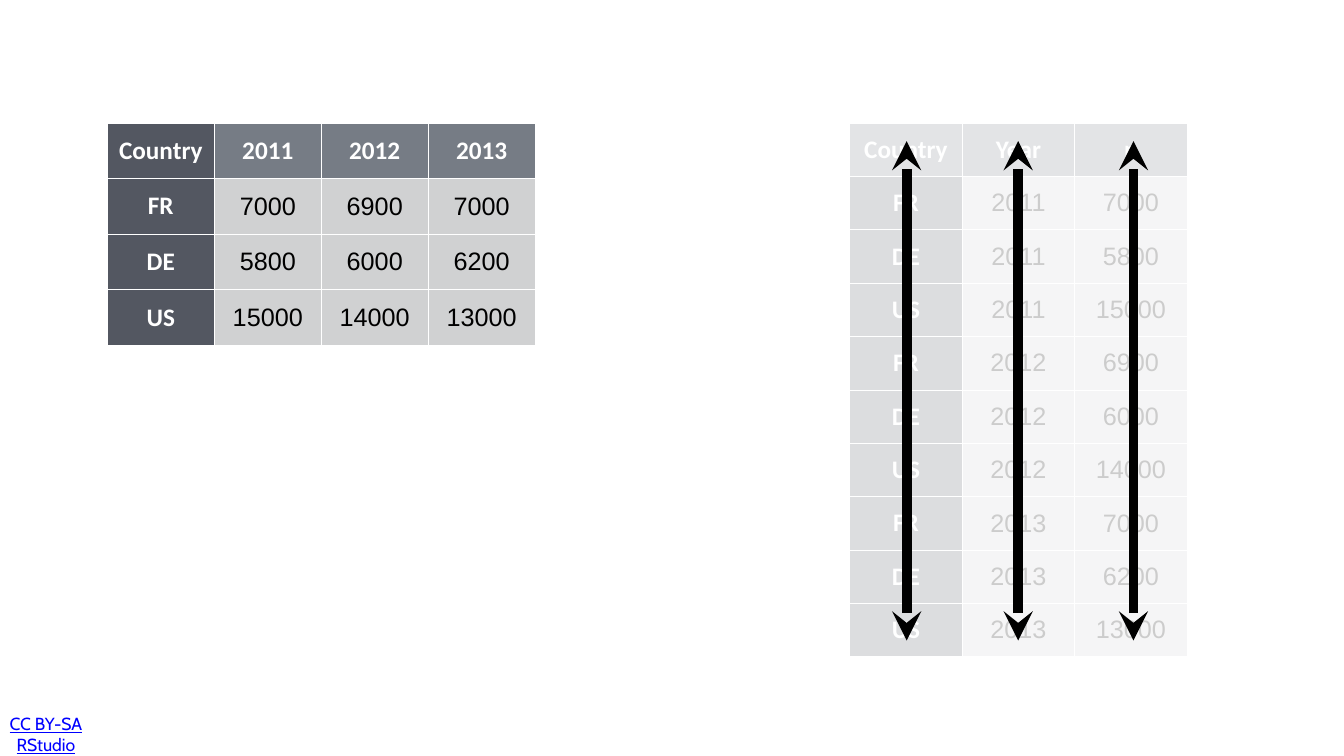
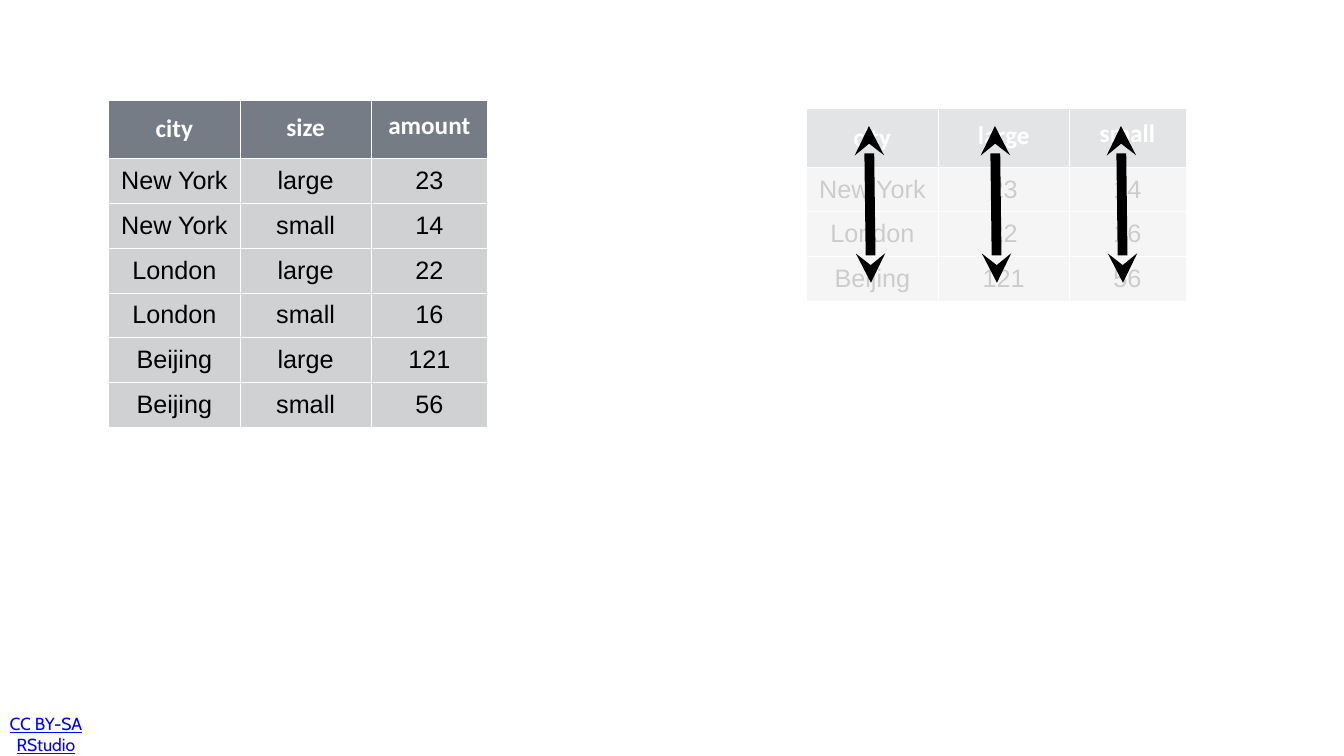
from dataclasses import dataclass

from lxml import etree
from pptx import Presentation
from pptx.dml.color import RGBColor
from pptx.enum.shapes import MSO_CONNECTOR, MSO_SHAPE
from pptx.enum.text import MSO_ANCHOR, PP_ALIGN
from pptx.oxml.ns import qn
from pptx.util import Cm, Pt


@dataclass(frozen=True)
class Theme:
    white: RGBColor = RGBColor(0xFF, 0xFF, 0xFF)
    black: RGBColor = RGBColor(0x00, 0x00, 0x00)
    header: RGBColor = RGBColor(0x76, 0x7C, 0x85)
    key: RGBColor = RGBColor(0x53, 0x57, 0x61)
    body: RGBColor = RGBColor(0xD0, 0xD1, 0xD2)
    credit: RGBColor = RGBColor(0x00, 0x00, 0xFF)
    header_font: str = "Calibri"
    body_font: str = "Arial"
    credit_font: str = "Cabin"
    table_size: int = 36
    credit_size: int = 25
    border_width: int = 1
    arrow_width: int = 14
    veil_opacity: int = 80


THEME = Theme()
TABLE_TOP = 6.2

YEARS = ["2011", "2012", "2013"]
CASES = {
    "FR": ["7000", "6900", "7000"],
    "DE": ["5800", "6000", "6200"],
    "US": ["15000", "14000", "13000"],
}

SIZES = ["large", "small"]
POLLUTION = {
    "New York": ["23", "14"],
    "London": ["22", "16"],
    "Beijing": ["121", "56"],
}
POLLUTION_COLUMNS = [6.65, 6.58, 5.89]
POLLUTION_SPACING = [1.0, 0.8, 0.6]


def write(paragraph, text, font_name, size, color, bold=False, underline=False):
    paragraph.alignment = PP_ALIGN.CENTER
    run = paragraph.add_run()
    run.text = text
    run.font.name = font_name
    run.font.size = Pt(size)
    run.font.bold = bold
    run.font.underline = underline
    run.font.color.rgb = color


def add_credit(slide):
    credit = slide.shapes.add_textbox(Cm(0.13), Cm(35.9), Cm(4.37), Cm(2.2))
    frame = credit.text_frame
    frame.word_wrap = True
    frame.vertical_anchor = MSO_ANCHOR.MIDDLE
    frame.margin_left = frame.margin_right = Cm(0.2)
    frame.margin_top = frame.margin_bottom = 0
    write(frame.paragraphs[0], "CC BY-SA RStudio", THEME.credit_font,
          THEME.credit_size, THEME.credit, underline=True)


def add_borders(cell):
    properties = cell._tc.get_or_add_tcPr()
    for side in ("a:lnL", "a:lnR", "a:lnT", "a:lnB"):
        line = etree.SubElement(properties, qn(side), w=str(Pt(THEME.border_width)))
        fill = etree.SubElement(line, qn("a:solidFill"))
        etree.SubElement(fill, qn("a:srgbClr"), val=str(THEME.white))


def fill_cell(cell, text, color, is_label, spacing=1.0):
    add_borders(cell)
    cell.fill.solid()
    cell.fill.fore_color.rgb = color
    cell.vertical_anchor = MSO_ANCHOR.MIDDLE
    cell.margin_left = cell.margin_right = Cm(0.15)
    cell.margin_top = cell.margin_bottom = Cm(0.15)
    paragraph = cell.text_frame.paragraphs[0]
    if spacing != 1.0:
        paragraph.line_spacing = spacing
    write(paragraph, text,
          THEME.header_font if is_label else THEME.body_font,
          THEME.table_size,
          THEME.white if is_label else THEME.black,
          bold=is_label)


def add_data_table(slide, left, top, rows, column_widths, header_height, row_height,
                   key_column=False, corner=THEME.header, header_spacing=None):
    """Add a table whose first row, and first column if key_column, hold labels."""
    heights = [header_height] + [row_height] * (len(rows) - 1)
    table = slide.shapes.add_table(
        len(rows), len(column_widths), Cm(left), Cm(top),
        Cm(sum(column_widths)), Cm(sum(heights))).table
    table.first_row = table.horz_banding = False
    for column, width in zip(table.columns, column_widths):
        column.width = Cm(width)
    for r, (values, height) in enumerate(zip(rows, heights)):
        table.rows[r].height = Cm(height)
        for c, value in enumerate(values):
            is_header, is_key = r == 0, key_column and c == 0
            if is_header:
                color = corner if c == 0 else THEME.header
            else:
                color = THEME.key if is_key else THEME.body
            spacing = header_spacing[c] if is_header and header_spacing else 1.0
            fill_cell(table.cell(r, c), value, color, is_header or is_key, spacing)


def add_veil(slide, left, top, width, height):
    """Fade what lies below with a translucent white rectangle."""
    veil = slide.shapes.add_shape(
        MSO_SHAPE.RECTANGLE, Cm(left), Cm(top), Cm(width), Cm(height))
    veil.shadow.inherit = False
    veil.line.fill.background()
    veil.fill.solid()
    veil.fill.fore_color.rgb = THEME.white
    color = veil._element.spPr.find(qn("a:solidFill")).find(qn("a:srgbClr"))
    etree.SubElement(color, qn("a:alpha"), val=str(THEME.veil_opacity * 1000))


def add_column_arrow(slide, bottom_x, bottom_y, top_x, top_y):
    arrow = slide.shapes.add_connector(
        MSO_CONNECTOR.STRAIGHT, Cm(bottom_x), Cm(bottom_y), Cm(top_x), Cm(top_y))
    arrow.line.color.rgb = THEME.black
    arrow.line.width = Pt(THEME.arrow_width)
    line = arrow.line._get_or_add_ln()
    for end in ("a:headEnd", "a:tailEnd"):
        etree.SubElement(line, qn(end), type="stealth")
    etree.SubElement(arrow._element.spPr, qn("a:effectLst"))


def build_cases_slide(slide):
    add_credit(slide)
    wide = [["Country", *YEARS]]
    wide += [[country, *counts] for country, counts in CASES.items()]
    add_data_table(slide, 5.41, TABLE_TOP, wide, [5.39] * 4, 2.8, 2.8,
                   key_column=True, corner=THEME.key)

    tidy = [["Country", "Year", "n"]]
    tidy += [[country, year, counts[i]]
             for i, year in enumerate(YEARS) for country, counts in CASES.items()]
    add_data_table(slide, 42.82, TABLE_TOP, tidy, [5.67] * 3, 2.69, 2.69,
                   key_column=True)
    add_veil(slide, 42.42, 6.12, 17.75, 27.05)
    for x in (57.12, 51.31, 45.69):
        add_column_arrow(slide, x, 32.28, x, 7.11)


def build_pollution_slide(slide):
    add_credit(slide)
    tidy = [["city", "size", "amount"]]
    tidy += [[city, size, amount]
             for city, amounts in POLLUTION.items()
             for size, amount in zip(SIZES, amounts)]
    add_data_table(slide, 5.46, 5.03, tidy, POLLUTION_COLUMNS, 2.95, 2.26,
                   header_spacing=POLLUTION_SPACING)

    wide = [["city", *SIZES]]
    wide += [[city, *amounts] for city, amounts in POLLUTION.items()]
    add_data_table(slide, 40.64, 5.44, wide, POLLUTION_COLUMNS, 2.97, 2.26,
                   header_spacing=POLLUTION_SPACING)
    add_veil(slide, 40.59, 5.38, 19.23, 9.78)
    for i in range(len(POLLUTION_COLUMNS)):
        x = 43.79 + 6.35 * i
        add_column_arrow(slide, x + 0.1, 14.25, x, 6.35)


def main():
    deck = Presentation()
    deck.slide_width, deck.slide_height = Cm(67.73), Cm(38.1)
    blank = deck.slide_layouts[6]
    for build in (build_cases_slide, build_pollution_slide):
        build(deck.slides.add_slide(blank))
    deck.save("out.pptx")


if __name__ == "__main__":
    main()
